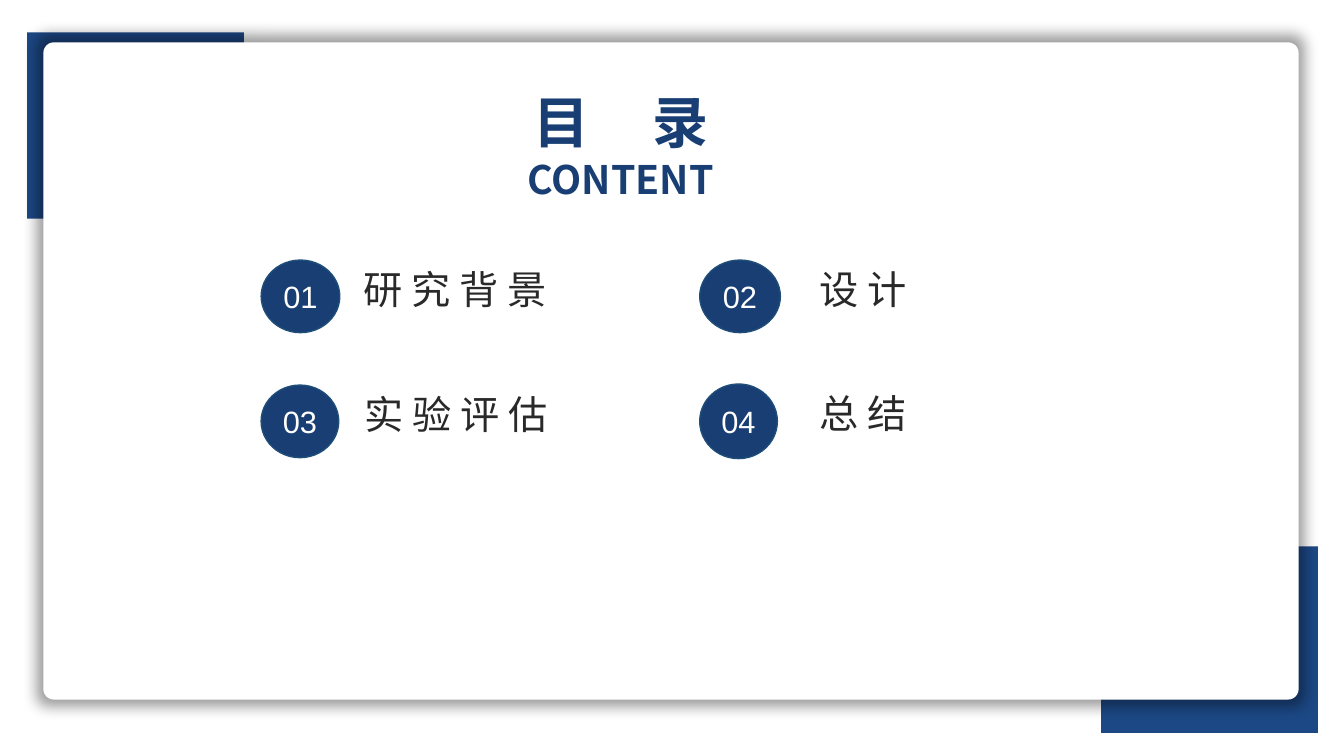
from lxml import etree
from pptx import Presentation
from pptx.dml.color import RGBColor
from pptx.enum.shapes import MSO_SHAPE
from pptx.enum.text import MSO_ANCHOR, PP_ALIGN
from pptx.oxml import parse_xml
from pptx.oxml.ns import qn
from pptx.util import Inches, Pt

RECT = MSO_SHAPE.RECTANGLE
ROUNDED = MSO_SHAPE.ROUNDED_RECTANGLE
OVAL = MSO_SHAPE.OVAL
CENTER = PP_ALIGN.CENTER
LEFT = PP_ALIGN.LEFT
MIDDLE = MSO_ANCHOR.MIDDLE

CJK = "Noto Sans CJK SC"
NAVY = "183E73"
CORNER_BLUE = "1C4885"
WHITE = "FFFFFF"
INK = "292929"
DRAWING_NS = "http://schemas.openxmlformats.org/drawingml/2006/main"

ENTRIES = [
    ("01", "研 究 背 景", (2.59, 2.58, 0.78, 0.72), (3.51, 2.58, 3.15, 0.57)),
    ("02", "设 计", (6.94, 2.58, 0.8, 0.72), (8.03, 2.58, 2.21, 0.57)),
    ("03", "实 验 评 估", (2.59, 3.82, 0.77, 0.72), (3.52, 3.82, 2.19, 0.57)),
    ("04", "总 结", (6.94, 3.81, 0.77, 0.74), (8.03, 3.81, 2.11, 0.57)),
]


def rgb(value):
    return RGBColor.from_string(value)


def add_block(s, kind, box, fill, line=None):
    sp = s.shapes.add_shape(kind, *map(Inches, box))
    sp.shadow.inherit = False
    sp.fill.solid()
    sp.fill.fore_color.rgb = rgb(fill)
    if line:
        sp.line.color.rgb = rgb(line)
        sp.line.width = Pt(1)
    else:
        sp.line.fill.background()
    return sp


def add_glow_shadow(sp):
    effects = sp._element.spPr.find(qn("a:effectLst"))
    effects.append(parse_xml(
        f'<a:outerShdw xmlns:a="{DRAWING_NS}" blurRad="127000" sx="101000" '
        'sy="102000" algn="ctr" rotWithShape="0"><a:srgbClr val="000000">'
        '<a:alpha val="40000"/></a:srgbClr></a:outerShdw>'))


def style_run(r, size, color, font=CJK, bold=False):
    r.font.size = Pt(size)
    r.font.bold = bold
    r.font.color.rgb = rgb(color)
    r.font.name = font
    rPr = r._r.get_or_add_rPr()
    etree.SubElement(rPr, qn("a:ea")).set("typeface", font)


def add_text(s, box, text, size, color, align=LEFT, bold=False):
    tf = s.shapes.add_textbox(*map(Inches, box)).text_frame
    tf.word_wrap = True
    p = tf.paragraphs[0]
    p.text = text
    p.alignment = align
    style_run(p.runs[0], size, color, bold=bold)
    return tf


def add_heading(s):
    tf = add_text(s, (4.98, 0.82, 2.35, 1.25), "目 ", 40, NAVY, CENTER, True)
    p = tf.paragraphs[0]
    p.runs[0]._r.get_or_add_rPr().set("spc", "1800")
    r = p.add_run()
    r.text = "录"
    style_run(r, 40, NAVY, bold=True)
    p = tf.add_paragraph()
    p.text = "CONTENT"
    p.alignment = CENTER
    style_run(p.runs[0], 28, NAVY, bold=True)


def add_badge(s, box, number):
    sp = add_block(s, OVAL, box, NAVY, "1F4E79")
    tf = sp.text_frame
    tf.word_wrap = False
    tf.vertical_anchor = MIDDLE
    p = tf.paragraphs[0]
    p.text = number
    p.alignment = CENTER
    style_run(p.runs[0], 22, WHITE, "Arial")


def main():
    prs = Presentation()
    prs.slide_width = Inches(13.33)
    prs.slide_height = Inches(7.5)
    s = prs.slides.add_slide(prs.slide_layouts[6])

    for left, top in [(10.92, 5.42), (0.27, 0.32)]:
        add_block(s, RECT, (left, top, 2.15, 1.85), CORNER_BLUE)
    card = add_block(s, ROUNDED, (0.43, 0.42, 12.45, 6.52), WHITE)
    card.adjustments[0] = 0.016
    add_glow_shadow(card)

    add_heading(s)
    for number, label, badge_box, label_box in ENTRIES:
        add_badge(s, badge_box, number)
        add_text(s, label_box, label, 28, INK)

    prs.save("out.pptx")


if __name__ == "__main__":
    main()
